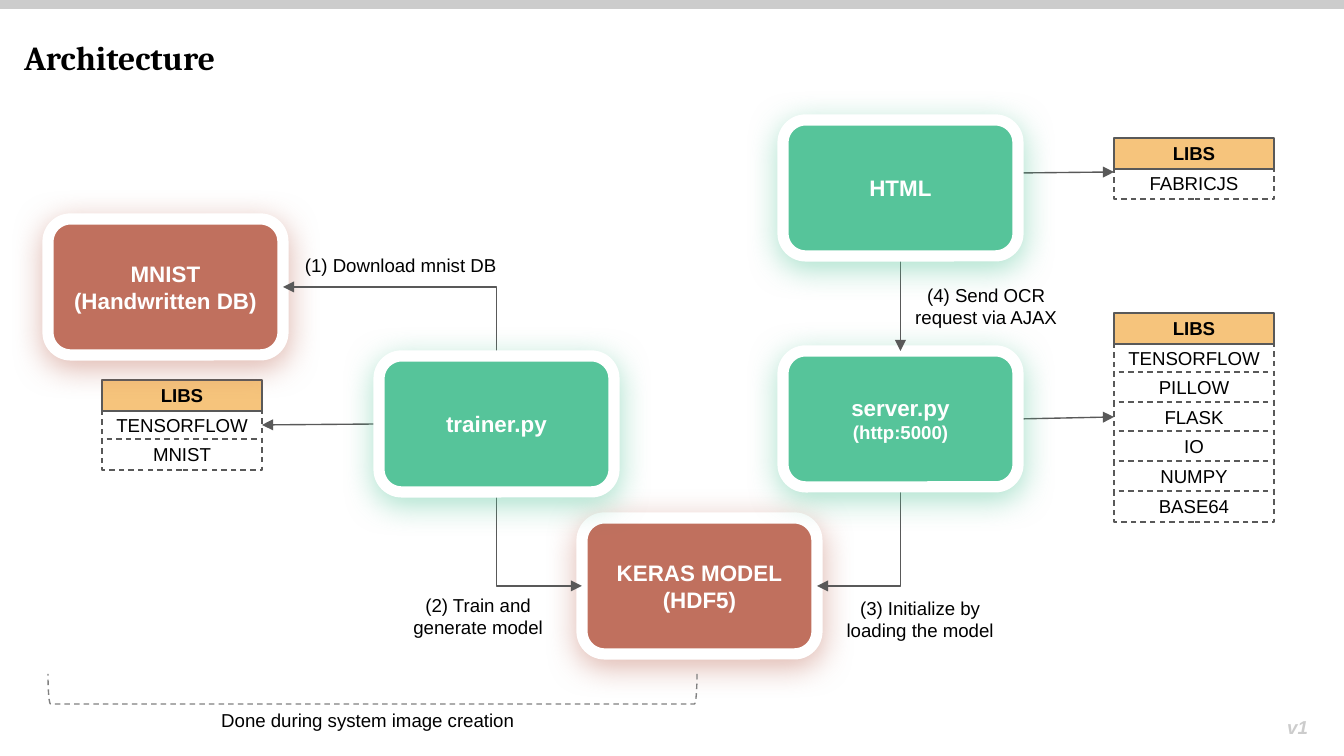
from lxml import etree
from pptx import Presentation
from pptx import util as u
from pptx.dml.color import RGBColor
from pptx.enum import dml, shapes, text
from pptx.oxml import ns

PX = 914400 / 134.4
COLORS = {"green": "56C49A", "red": "C0705E", "orange": "F6C47C", "white": "FFFFFF",
          "black": "000000", "line": "595959", "bracket": "808080", "light": "CCCCCC"}
SHAPE = shapes.MSO_SHAPE
CENTER, LEFT = text.PP_ALIGN.CENTER, text.PP_ALIGN.LEFT
CARD_W, CARD_H = 235, 136
LIB_W, LIB_H, LIB_STEP = 160, 31, 29.6


def emu(*pixels):
    return [u.Emu(round(p * PX)) for p in pixels]


def rgb(name):
    return RGBColor.from_string(COLORS[name])


def write(frame, lines, size=10, last_size=None, color="black", bold=False, italic=False,
          font="Arial", align=CENTER, anchor=text.MSO_ANCHOR.TOP, side=0.1):
    frame.word_wrap = True
    frame.vertical_anchor = anchor
    frame.margin_left = frame.margin_right = u.Inches(side)
    frame.margin_top = frame.margin_bottom = u.Inches(0.1)
    for i, line in enumerate(lines):
        paragraph = frame.add_paragraph() if i else frame.paragraphs[0]
        paragraph.alignment = align
        run = paragraph.add_run()
        run.text = line
        run.font.name, run.font.bold, run.font.italic = font, bold, italic
        run.font.size = u.Pt(last_size if i and last_size else size)
        run.font.color.rgb = rgb(color)


def outline(line, color, width=0.75, dashed=False):
    line.color.rgb = rgb(color)
    line.width = u.Pt(width)
    if dashed:
        line.dash_style = dml.MSO_LINE.DASH


def add_block(slide, kind, box, fill=None):
    block = slide.shapes.add_shape(kind, *emu(*box))
    block.shadow.inherit = False
    block.line.fill.background()
    if fill:
        block.fill.solid()
        block.fill.fore_color.rgb = rgb(fill)
    else:
        block.fill.background()
    return block


def add_label(slide, box, label, **style):
    write(slide.shapes.add_textbox(*emu(*box)).text_frame, [label], **style)


def add_card(slide, corner, lines, fill, **style):
    """Rounded card with a white rim and a glow in its own colour."""
    card = add_block(slide, SHAPE.ROUNDED_RECTANGLE, (*corner, CARD_W, CARD_H), fill)
    outline(card.line, "white", 6)
    effects = card._element.spPr.find(ns.qn("a:effectLst"))
    glow = etree.SubElement(effects, ns.qn("a:outerShdw"), blurRad=str(u.Pt(16.9)),
                            dist=str(u.Pt(3.8)), dir="5400000", algn="bl", rotWithShape="0")
    tint = etree.SubElement(glow, ns.qn("a:srgbClr"), val=COLORS[fill])
    etree.SubElement(tint, ns.qn("a:alpha"), val="50000")
    write(card.text_frame, lines, size=12, color="white", bold=True,
          anchor=text.MSO_ANCHOR.MIDDLE, **style)


def add_libs(slide, corner, names):
    """Stack of library names under a solid header."""
    left, top = corner
    rows = [*enumerate(names, 1), (0, "LIBS")]
    for i, name in rows:
        header = i == 0
        row = add_block(slide, SHAPE.RECTANGLE, (left, top + round(i * LIB_STEP), LIB_W, LIB_H),
                        "orange" if header else "white")
        outline(row.line, "line", dashed=not header)
        write(row.text_frame, [name], bold=header, anchor=text.MSO_ANCHOR.MIDDLE, side=0)


def add_arrow(slide, target, source, bent=False):
    """Line with its arrowhead at target; a bent one leaves target sideways."""
    kind = shapes.MSO_CONNECTOR.ELBOW if bent else shapes.MSO_CONNECTOR.STRAIGHT
    arrow = slide.shapes.add_connector(kind, *emu(*target, *source))
    outline(arrow.line, "line")
    props = arrow._element.spPr
    if bent:
        props.find(ns.qn("a:prstGeom")).set("prst", "bentConnector2")
    etree.SubElement(props.find(ns.qn("a:ln")), ns.qn("a:headEnd"),
                     type="triangle", w="med", len="med")
    etree.SubElement(props, ns.qn("a:effectLst"))


def side(corner, across, down):
    """Point on a card, given as shares of its width and height."""
    return corner[0] + CARD_W * across, corner[1] + CARD_H * down


def add_frame(slide):
    add_block(slide, SHAPE.RECTANGLE, (0, 0, 1345, 9), "light")
    add_label(slide, (11, 23, 253, 73), "Architecture", size=18, bold=True,
              font="Cambria", align=LEFT)
    add_label(slide, (1274, 705, 54, 44), "v1", color="light", bold=True,
              italic=True, align=LEFT)


def add_build_note(slide, box):
    """Bracket open at the top, with its caption below."""
    left, top, width, height = box
    bracket = add_block(slide, SHAPE.LEFT_BRACKET,
                        (left + (width - height) / 2, top + (height - width) / 2, height, width))
    bracket.rotation = 270
    outline(bracket.line, "bracket", dashed=True)
    add_label(slide, (left + 148, top + 24, 343, 47), "Done during system image creation")


def add_diagram(slide):
    keras, mnist = (582, 518), (48, 219)
    trainer, server, html = (379, 356), (783, 351), (783, 120)

    # Library lists
    add_libs(slide, (102, 380), ["TENSORFLOW", "MNIST"])
    add_libs(slide, (1114, 313), ["TENSORFLOW", "PILLOW", "FLASK", "IO", "NUMPY", "BASE64"])
    add_libs(slide, (1114, 138), ["FABRICJS"])

    # Data stores, then the arrows that reach them
    add_card(slide, keras, ["KERAS MODEL", "(HDF5)"], "red")
    add_card(slide, mnist, ["MNIST", "(Handwritten DB)"], "red")
    add_arrow(slide, side(keras, 1, 0.5), side(server, 0.5, 1), bent=True)
    add_arrow(slide, side(keras, 0, 0.5), side(trainer, 0.5, 1), bent=True)
    add_arrow(slide, side(mnist, 1, 0.5), side(trainer, 0.5, 0), bent=True)
    add_arrow(slide, (262, 425), side(trainer, 0, 0.5))
    add_arrow(slide, (1114, 417), side(server, 1, 0.5))

    # Programs
    add_card(slide, server, ["server.py", "(http:5000)"], "green", last_size=10)
    add_card(slide, trainer, ["trainer.py"], "green")
    add_arrow(slide, side(server, 0.5, 0), side(html, 0.5, 1))
    add_arrow(slide, (1114, 172), (html[0] + CARD_W, 173))
    add_card(slide, html, ["HTML"], "green")

    # Step labels
    for box, step in [((283, 243, 235, 47), "(1) Download mnist DB"),
                      ((375, 580, 206, 47), "(2) Train and generate model"),
                      ((817, 583, 206, 47), "(3) Initialize by loading the model"),
                      ((883, 270, 206, 47), "(4) Send OCR request via AJAX")]:
        add_label(slide, box, step)


deck = Presentation()
deck.slide_width, deck.slide_height = emu(1344, 756)
slide = deck.slides.add_slide(deck.slide_layouts[6])
add_frame(slide)
add_diagram(slide)
add_build_note(slide, (48, 674, 649, 30))
deck.save("out.pptx")
